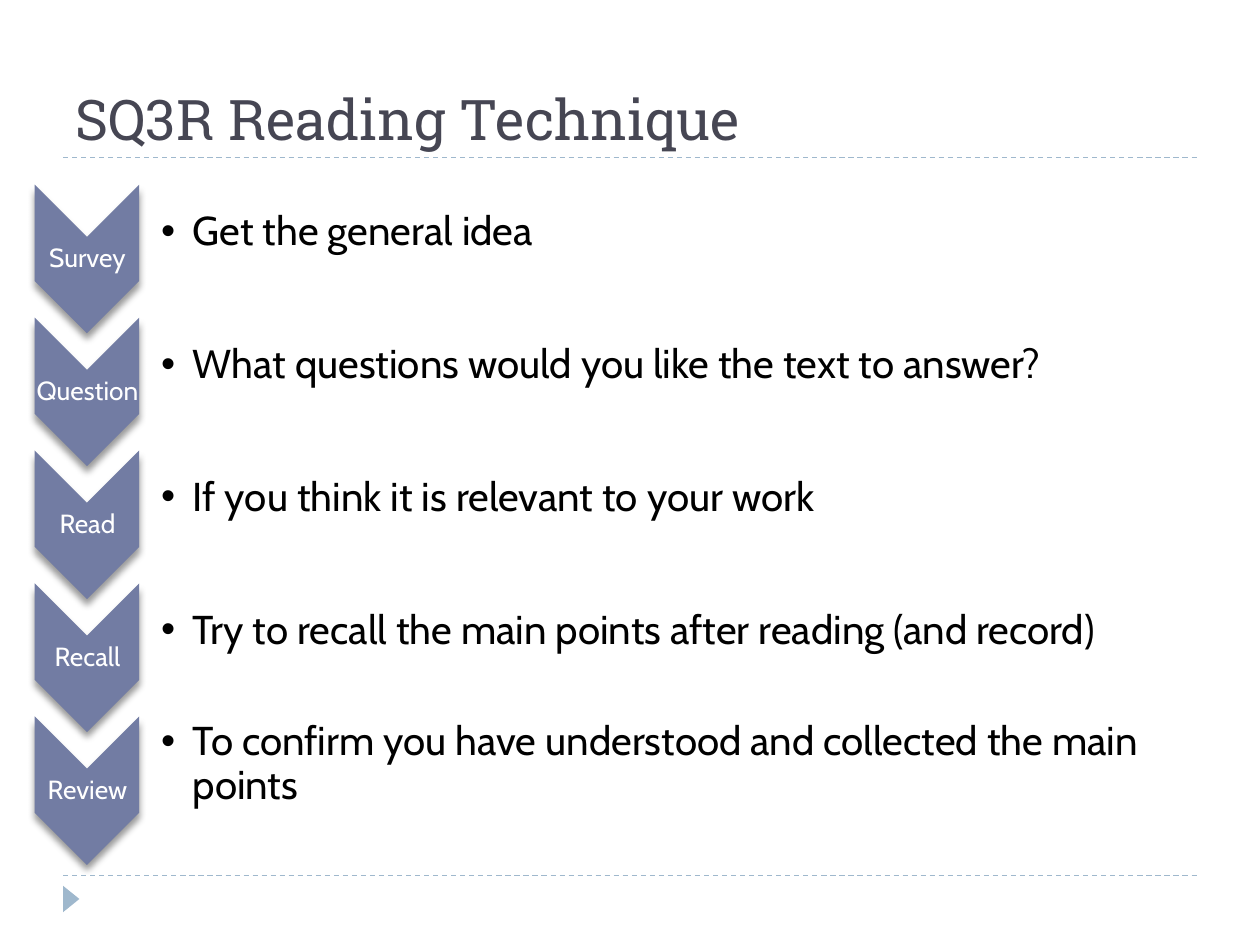
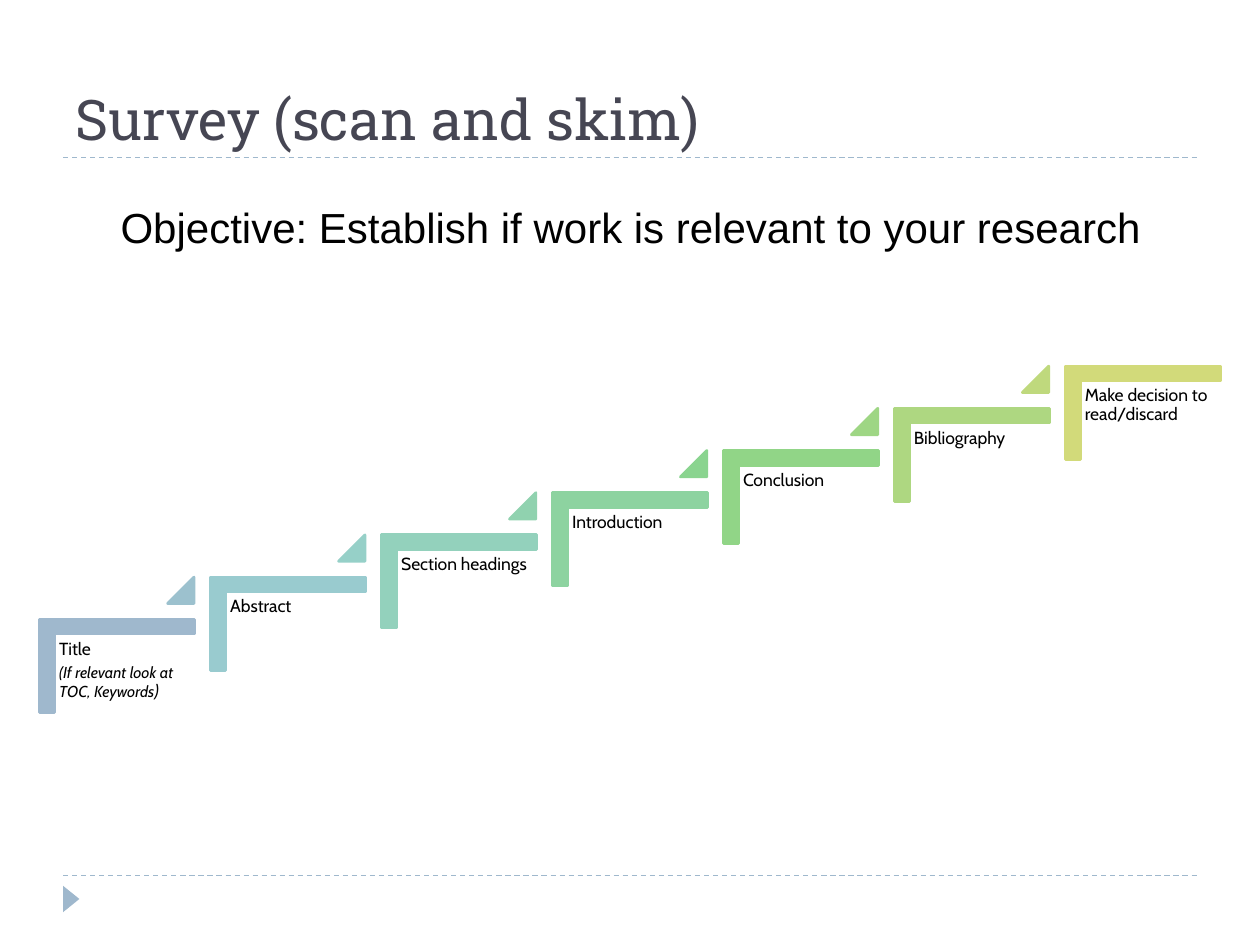
from lxml.etree import SubElement
from pptx import Presentation
from pptx.dml.color import RGBColor
from pptx.enum.dml import MSO_LINE
from pptx.enum.shapes import MSO_CONNECTOR, MSO_SHAPE
from pptx.enum.text import MSO_ANCHOR, PP_ALIGN
from pptx.oxml.ns import qn
from pptx.util import Inches, Pt

rgb = RGBColor.from_string
PALE_BLUE = "9FB8CD"
SLATE = "727CA3"
TITLE_COLOR = "464653"
BODY_FONT = "Cabin"
CORNER = MSO_SHAPE.from_xml("corner")

STAGES = [
    ("Survey", "Get the general idea"),
    ("Question", "What questions would you like the text to answer?"),
    ("Read", "If you think it is relevant to your work"),
    ("Recall", "Try to recall the main points after reading (and record)"),
    ("Review", "To confirm you have understood and collected the main points"),
]
STAGE_PITCH = (5.86 - 1.64) / 4

STEPS = [
    ("Title", "9FB8CD", "9CC1CE"),
    ("Abstract", "99CBCF", "96D0C8"),
    ("Section headings", "93D1BC", "90D2AF"),
    ("Introduction", "8DD3A0", "8AD48F"),
    ("Conclusion", "91D587", "9ED684"),
    ("Bibliography", "AED781", "BFD97D"),
    ("Make decision to read/discard", "D2DA7A", None),
]
STEP_RUN = (8.7 - 0.56) / 6
STEP_RISE = (4.67 - 2.66) / 6


def add_shape(slide, kind, left, top, width, height, color, rotation=0, outline=None):
    shape = slide.shapes.add_shape(
        kind, Inches(left), Inches(top), Inches(width), Inches(height))
    shape.rotation = rotation
    shape.shadow.inherit = False
    shape.fill.solid()
    shape.fill.fore_color.rgb = rgb(color)
    if outline:
        shape.line.color.rgb = rgb(color)
        shape.line.width = Pt(outline)
    else:
        shape.line.fill.background()
    return shape


def add_text(slide, text, left, top, width, height, size, font=BODY_FONT,
             color="000000", anchor=MSO_ANCHOR.TOP, align=PP_ALIGN.LEFT,
             insets=(0.1, 0.05, 0.1, 0.05), spacing=1.0, bullet=None):
    box = slide.shapes.add_textbox(
        Inches(left), Inches(top), Inches(width), Inches(height))
    frame = box.text_frame
    frame.word_wrap = True
    frame.vertical_anchor = anchor
    (frame.margin_left, frame.margin_top,
     frame.margin_right, frame.margin_bottom) = map(Inches, insets)
    paragraph = frame.paragraphs[0]
    paragraph.text = text
    paragraph.alignment = align
    paragraph.line_spacing = spacing
    if bullet:
        properties = paragraph._p.get_or_add_pPr()
        properties.set("marL", str(Inches(0.25)))
        properties.set("indent", str(Inches(-0.25)))
        SubElement(properties, qn("a:buFont"), typeface="Arial")
        SubElement(properties, qn("a:buChar"), char=bullet)
    paragraph.font.size = Pt(size)
    paragraph.font.name = font
    paragraph.font.color.rgb = rgb(color)
    return frame


presentation = Presentation()
presentation.slide_width = Inches(10)
presentation.slide_height = Inches(7.5)

slides = []
for title in ("SQ3R Reading Technique", "Survey (scan and skim)"):
    slide = presentation.slides.add_slide(presentation.slide_layouts[6])
    for y in (6.95, 1.25):
        rule = slide.shapes.add_connector(
            MSO_CONNECTOR.STRAIGHT, Inches(0.5), Inches(y), Inches(9.5), Inches(y))
        rule.line.color.rgb = rgb(PALE_BLUE)
        rule.line.width = Pt(0.75)
        rule.line.dash_style = MSO_LINE.DASH
        SubElement(rule._element.spPr, qn("a:effectLst"))
    add_shape(slide, MSO_SHAPE.ISOSCELES_TRIANGLE, 0.46, 7.07, 0.21, 0.13,
              PALE_BLUE, rotation=90)
    add_text(slide, title, 0.5, 0.17, 9, 1.08, 32, "Roboto Slab", TITLE_COLOR,
             MSO_ANCHOR.BOTTOM)
    slides.append(slide)
technique_slide, survey_slide = slides

for index, (stage, advice) in enumerate(STAGES):
    offset = index * STAGE_PITCH
    chevron = add_shape(technique_slide, MSO_SHAPE.CHEVRON, 0.1, 1.64 + offset,
                        1.18, 0.83, SLATE, rotation=90)
    effects = chevron._element.spPr.find(qn("a:effectLst"))
    shadow = SubElement(effects, qn("a:outerShdw"), blurRad=str(Pt(4)),
                        dist=str(Pt(3.4)), dir="5400000", rotWithShape="0")
    shadow_color = SubElement(shadow, qn("a:srgbClr"), val="000000")
    SubElement(shadow_color, qn("a:alpha"), val="40000")
    add_text(technique_slide, stage, 0.28, 1.88 + offset, 0.83, 0.35, 15,
             color="FFFFFF", anchor=MSO_ANCHOR.MIDDLE, align=PP_ALIGN.CENTER,
             insets=(0.01,) * 4, spacing=0.9)
    add_text(technique_slide, advice, 1.1, 1.5 + offset, 8.66, 0.69, 23,
             anchor=MSO_ANCHOR.MIDDLE, insets=(0.18, 0.02, 0.02, 0.02),
             spacing=0.9, bullet="•")

for index, (step, corner_color, triangle_color) in enumerate(STEPS):
    right = index * STEP_RUN
    up = index * STEP_RISE
    corner = add_shape(survey_slide, CORNER, 0.56 + right, 4.67 - up,
                       0.74, 1.23, corner_color, rotation=90, outline=1.5)
    corner.adjustments[0] = corner.adjustments[1] = 0.16
    frame = add_text(survey_slide, step, 0.43 + right, 5.04 - up, 1.11, 0.97, 10,
                     insets=(0.04,) * 4, spacing=0.9)
    if index == 0:
        frame.paragraphs[0].space_after = Pt(3.5)
        note = frame.add_paragraph()
        note.line_spacing = 0.9
        note.font.name = BODY_FONT
        note.font.italic = True
        note.font.color.rgb = rgb("000000")
        for text, size in (("(If relevant look at TOC, Keywords", 9), (")", 10)):
            run = note.add_run()
            run.text = text
            run.font.size = Pt(size)
    if triangle_color:
        triangle = add_shape(survey_slide, MSO_SHAPE.ISOSCELES_TRIANGLE,
                             1.33 + right, 4.58 - up, 0.21, 0.21,
                             triangle_color, outline=1.5)
        triangle.adjustments[0] = 1

add_text(survey_slide, "Objective: Establish if work is relevant to your research",
         0.83, 1.55, 8.35, 0.5, 24, "Arial", align=PP_ALIGN.CENTER)

presentation.save("out.pptx")
